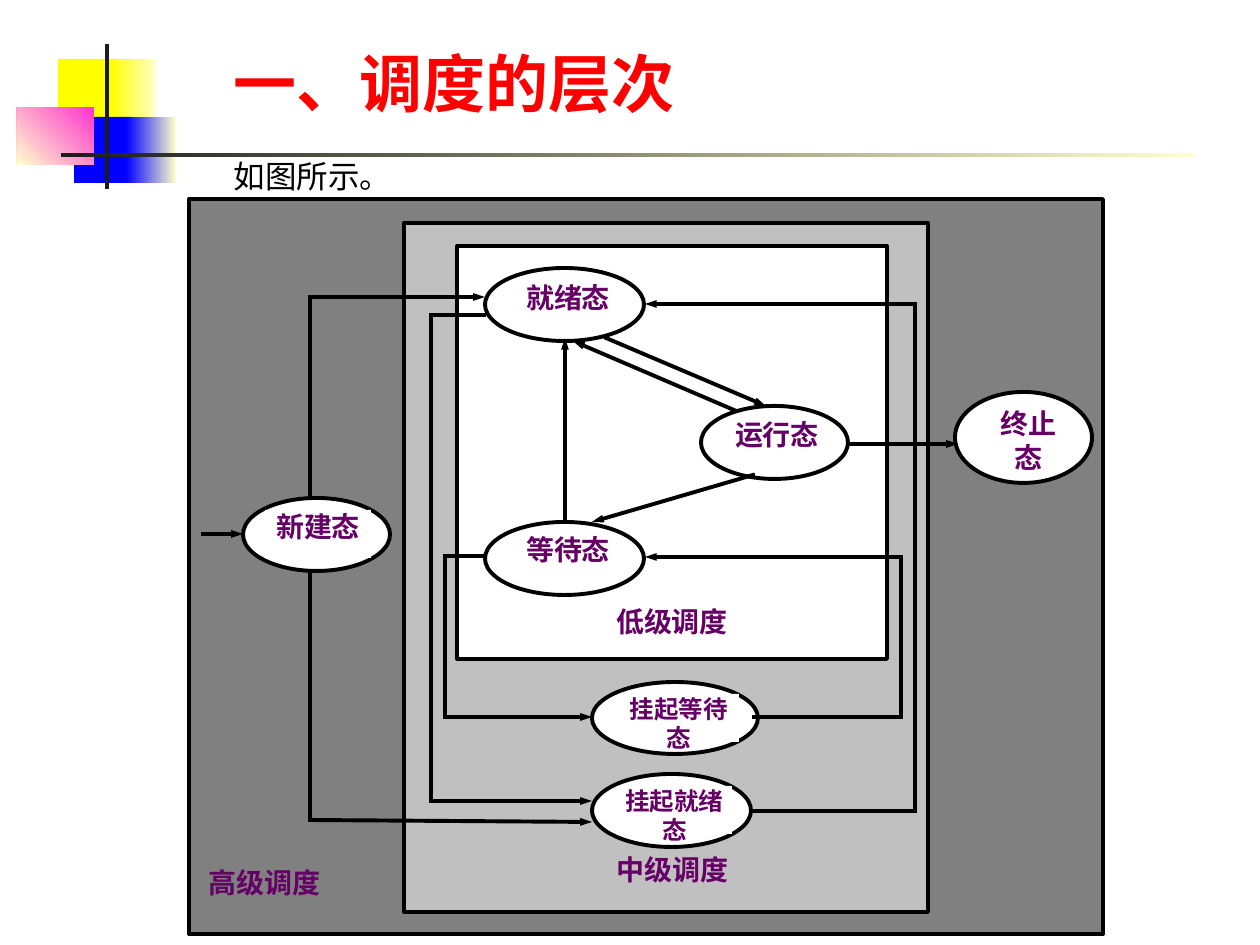
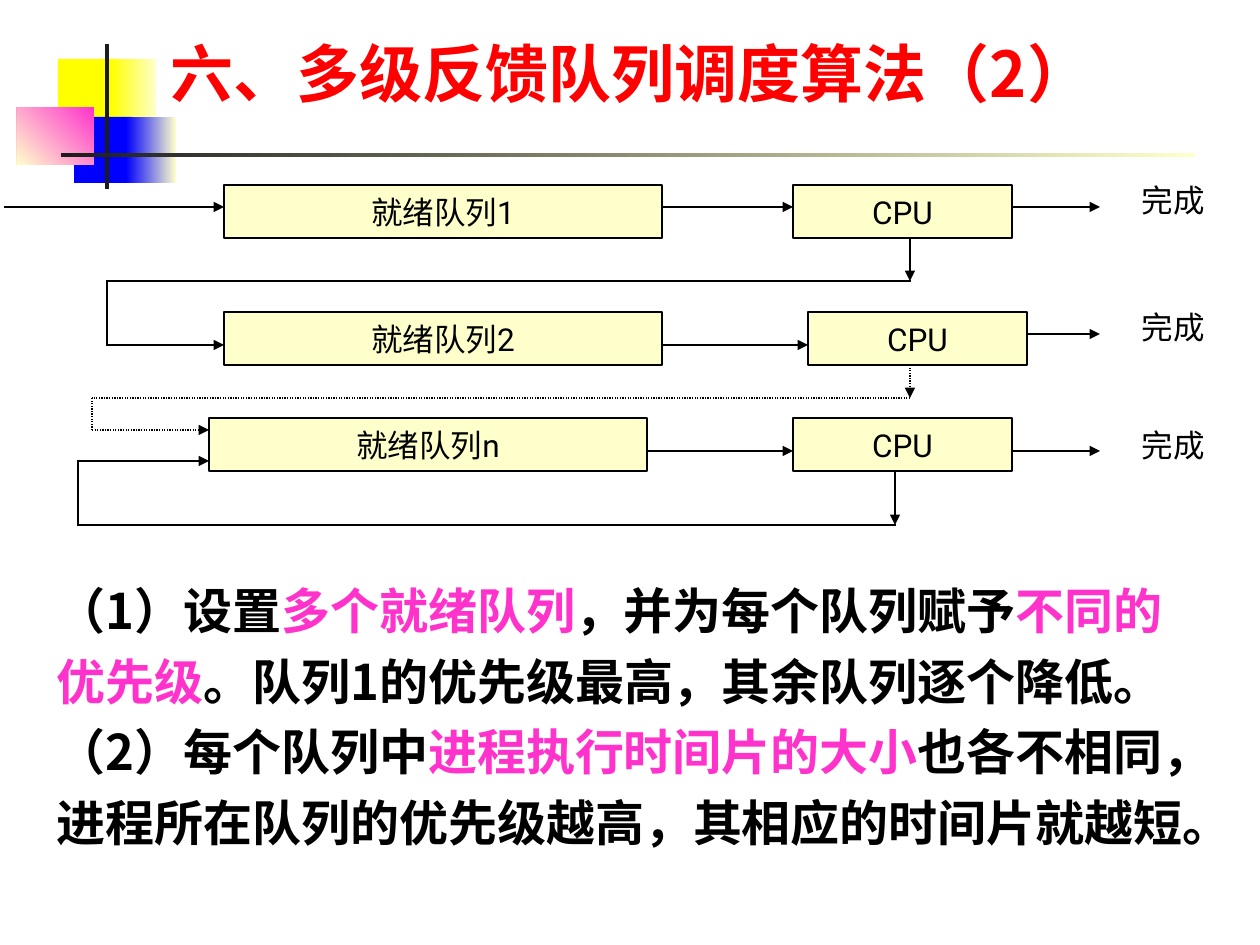
"""Build two slides on process scheduling: its levels and multilevel feedback queues."""
from lxml import etree
from pptx import Presentation
from pptx.dml.color import RGBColor
from pptx.enum import dml, shapes, text
from pptx.oxml.ns import qn
from pptx.util import Pt

PX = 914400 / 126
RECT, OVAL = shapes.MSO_SHAPE.RECTANGLE, shapes.MSO_SHAPE.OVAL
LEFT, CENTER = text.PP_ALIGN.LEFT, text.PP_ALIGN.CENTER
TOP, MIDDLE, BOTTOM = text.MSO_ANCHOR.TOP, text.MSO_ANCHOR.MIDDLE, text.MSO_ANCHOR.BOTTOM
CJK, LATIN = "Noto Sans CJK SC", "Roboto"

BLACK = RGBColor(0x00, 0x00, 0x00)
WHITE = RGBColor(0xFF, 0xFF, 0xFF)
RED = RGBColor(0xFF, 0x00, 0x00)
YELLOW = RGBColor(0xFF, 0xFF, 0x00)
BLUE = RGBColor(0x00, 0x00, 0xFF)
CREAM = RGBColor(0xFF, 0xFF, 0xCC)
PINK = RGBColor(0xFF, 0x33, 0xCC)
INK = RGBColor(0x1C, 0x1C, 0x1C)
PURPLE = RGBColor(0x66, 0x00, 0x66)
GRAY = RGBColor(0x80, 0x80, 0x80)
SILVER = RGBColor(0xC0, 0xC0, 0xC0)


def place(slide, box, words="", fill=None, outline=0, preset=RECT, size=18, color=BLACK, bold=False,
          font=CJK, align=LEFT, anchor=TOP, inset=(13, 6), wrap=True, spacing=1.0):
    """Add a shape or text box; words is a string or a list of paragraphs of (text, colour)."""
    frame = [round(n * PX) for n in box]
    if fill is None:
        item = slide.shapes.add_textbox(*frame)
    else:
        item = slide.shapes.add_shape(preset, *frame)
        item.shadow.inherit = False
        if isinstance(fill, RGBColor):
            item.fill.solid()
            item.fill.fore_color.rgb = fill
        else:
            first, last, angle = fill
            item.fill.gradient()
            item.fill.gradient_angle = 360 - angle
            for stop, shade in zip(item.fill.gradient_stops, (first, last)):
                stop.color.rgb = shade
        if outline:
            item.line.color.rgb = BLACK
            item.line.width = Pt(outline)
        else:
            item.line.fill.background()
    if not words:
        return
    body = item.text_frame
    body.word_wrap = wrap
    body.vertical_anchor = anchor
    body.margin_left = body.margin_right = round(inset[0] * PX)
    body.margin_top = body.margin_bottom = round(inset[1] * PX)
    paragraphs = [[(words, color)]] if isinstance(words, str) else words
    for index, pieces in enumerate(paragraphs):
        paragraph = body.add_paragraph() if index else body.paragraphs[0]
        paragraph.alignment = align
        paragraph.line_spacing = spacing
        for piece, shade in pieces:
            run = paragraph.add_run()
            run.text = piece
            run.font.size = Pt(size)
            run.font.bold = bold
            run.font.color.rgb = shade
            run.font.name = font
            etree.SubElement(run.font._element, qn("a:ea"), typeface=CJK)


def route(slide, points, width, head="med", dash=None):
    """Join the points with straight lines and put an arrowhead on the last one."""
    for start, end in zip(points, points[1:]):
        line = slide.shapes.add_connector(
            shapes.MSO_CONNECTOR.STRAIGHT, *[round(n * PX) for n in start + end])
        line.line.color.rgb = BLACK
        line.line.width = Pt(width)
        if dash:
            line.line.dash_style = dash
        outline = line.line._get_or_add_ln()
        if not dash:
            outline.set("cap", "sq")
        if end == points[-1]:
            etree.SubElement(outline, qn("a:tailEnd"), type="triangle", w=head, len="med")
        etree.SubElement(line._element.spPr, qn("a:effectLst"))


deck = Presentation()
deck.slide_width, deck.slide_height = round(1260 * PX), round(945 * PX)

DECORATION = [
    ((58, 59, 60, 66), YELLOW),
    ((111, 59, 45, 66), (CREAM, YELLOW, 180)),
    ((74, 117, 58, 66), BLUE),
    ((126, 117, 50, 66), (CREAM, BLUE, 180)),
    ((17, 107, 77, 58), (PINK, CREAM, 135)),
    ((105, 44, 4, 145), INK),
    ((61, 153, 1134, 4), (CREAM, INK, 180)),
]
TITLES = [
    ("一、调度的层次", (221, 21, 651, 105)),
    ("六、多级反馈队列调度算法（2）", (158, 21, 1102, 95)),
]
for title, box in TITLES:
    slide = deck.slides.add_slide(deck.slide_layouts[6])
    for band, fill in DECORATION:
        place(slide, band, fill=fill)
    place(slide, box, title, size=36, color=RED, bold=True, anchor=BOTTOM)
levels, feedback = deck.slides

place(levels, (221, 147, 870, 73), "如图所示。", spacing=1.1)
THICK = 2.25
for box, fill in [
    ((189, 199, 914, 735), GRAY),
    ((404, 223, 524, 689), SILVER),
    ((457, 246, 430, 413), WHITE),
]:
    place(levels, box, fill=fill, outline=THICK)

for level, box in [
    ("高级调度", (200, 866, 129, 47)),
    ("中级调度", (592, 853, 161, 45)),
    ("低级调度", (457, 605, 430, 45)),
]:
    place(levels, box, level, size=16, color=PURPLE, bold=True, align=CENTER, inset=(0, 0))

for state, oval, label, size in [
    ("新建态", (243, 498, 147, 73), (265, 510, 106, 48), 16),
    ("挂起就绪态", (592, 774, 159, 73), (617, 786, 115, 48), 14),
    ("挂起等待态", (592, 682, 166, 72), (619, 694, 120, 48), 14),
    ("运行态", (701, 406, 147, 73), (733, 418, 88, 48), 16),
    ("就绪态", (485, 268, 159, 73), (520, 281, 96, 48), 16),
    ("等待态", (485, 522, 159, 73), (520, 533, 96, 48), 16),
    ("终止态", (955, 392, 137, 91), (987, 407, 82, 60), 16),
]:
    place(levels, oval, fill=WHITE, outline=THICK, preset=OVAL)
    place(levels, label, state, fill=WHITE, size=size, color=PURPLE, bold=True,
          align=CENTER, inset=(0, 0))

for transition in [
    [(203, 534), (243, 534)],
    [(310, 498), (310, 297), (485, 297)],
    [(310, 571), (310, 820), (592, 822)],
    [(484, 315), (431, 315), (431, 801), (592, 801)],
    [(753, 811), (915, 811), (915, 304), (645, 304)],
    [(485, 556), (445, 556), (445, 717), (592, 717)],
    [(754, 717), (901, 717), (901, 557), (645, 557)],
    [(565, 521), (565, 338)],
    [(753, 475), (592, 522)],
    [(734, 410), (573, 341)],
    [(606, 338), (766, 406)],
    [(850, 444), (958, 444)],
]:
    route(levels, transition, THICK, head="sm")

THIN = 0.75
for queue, queue_left, cpu_left, top, feed_y, exit_y, done_top in [
    ("就绪队列1", 224, 793, 185, 207, 207, 175),
    ("就绪队列2", 224, 808, 312, 345, 334, 302),
    ("就绪队列n", 209, 793, 418, 451, 451, 420),
]:
    for name, left, width in [(queue, queue_left, 438), ("CPU", cpu_left, 219)]:
        place(feedback, (left, top, width, 53), name, fill=CREAM, outline=THIN, font=LATIN,
              align=CENTER, anchor=MIDDLE, wrap=False)
    route(feedback, [(queue_left + 438, feed_y), (cpu_left, feed_y)], THIN)
    route(feedback, [(cpu_left + 219, exit_y), (1100, exit_y)], THIN)
    place(feedback, (1129, done_top, 126, 50), "完成", font=LATIN)

route(feedback, [(5, 207), (224, 207)], THIN)
for cpu_x, cpu_bottom, turn_y, return_x, entry_y, queue_left, dash in [
    (910, 238, 281, 107, 345, 224, None),
    (910, 365, 398, 92, 430, 209, dml.MSO_LINE.ROUND_DOT),
    (895, 472, 525, 78, 461, 209, None),
]:
    route(feedback, [(cpu_x, cpu_bottom), (cpu_x, turn_y)], THIN, dash=dash)
    route(feedback, [(cpu_x, turn_y), (return_x, turn_y), (return_x, entry_y),
                     (queue_left, entry_y)], THIN, dash=dash)

RULES = [
    [("（1）设置", BLACK), ("多个就绪队列", PINK), ("，并为每个队列赋予", BLACK),
     ("不同的优先级", PINK), ("。队列1的优先级最高，其余队列逐个降低。", BLACK)],
    [("（2）每个队列中", BLACK), ("进程执行时间片的大小", PINK),
     ("也各不相同，进程所在队列的优先级越高，其相应的时间片就越短。", BLACK)],
]
place(feedback, (44, 563, 1160, 295), RULES, size=28, bold=True, spacing=1.2)

deck.save("out.pptx")
